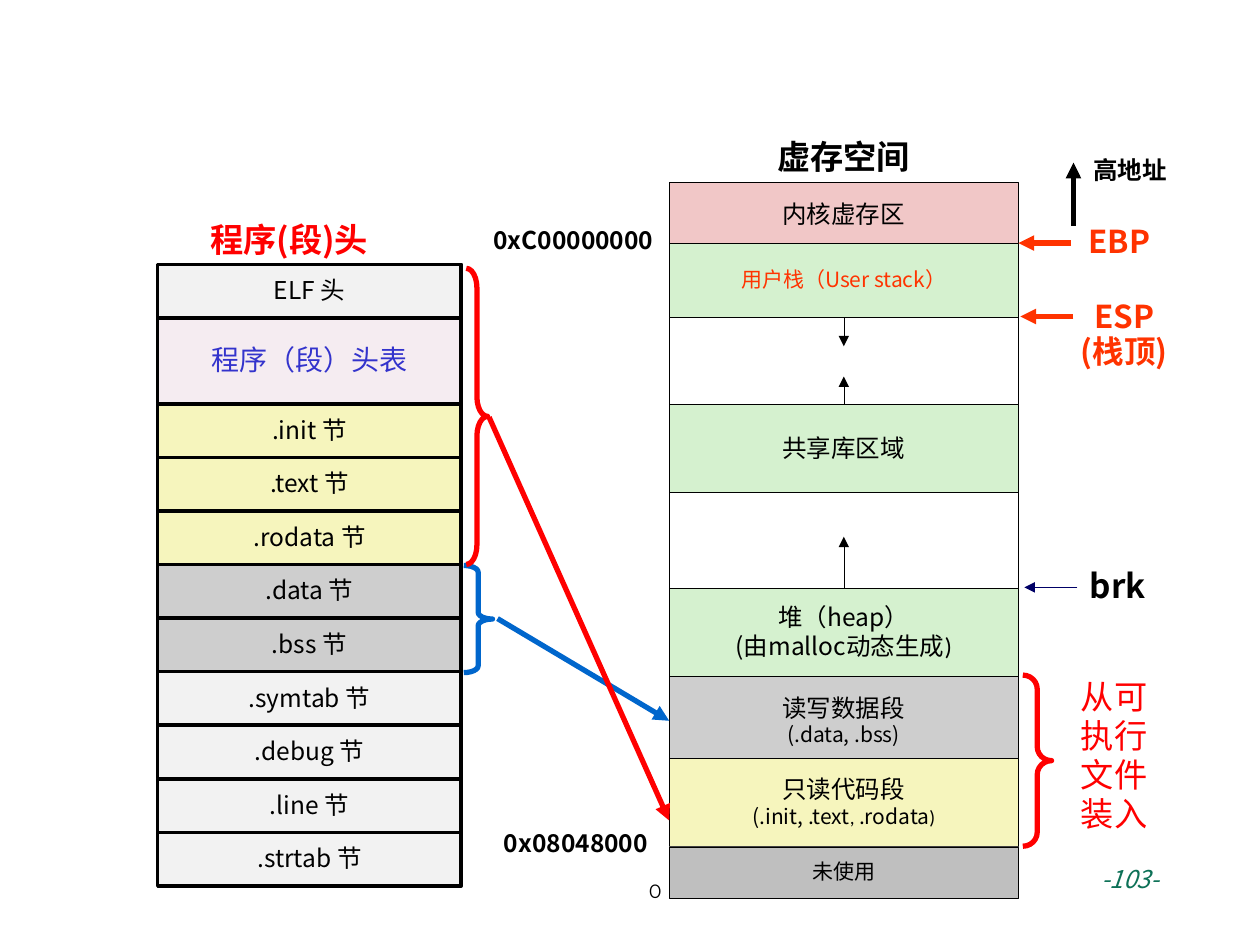
from lxml import etree
from pptx import Presentation
from pptx.dml.color import RGBColor
from pptx.enum.shapes import MSO_CONNECTOR, MSO_SHAPE
from pptx.enum.text import MSO_ANCHOR, MSO_AUTO_SIZE, PP_ALIGN
from pptx.oxml.ns import qn
from pptx.util import Cm, Pt

STRAIGHT = MSO_CONNECTOR.STRAIGHT
RECTANGLE, BRACE = MSO_SHAPE.RECTANGLE, MSO_SHAPE.RIGHT_BRACE
LEFT, CENTER = PP_ALIGN.LEFT, PP_ALIGN.CENTER
MIDDLE, GROW = MSO_ANCHOR.MIDDLE, MSO_AUTO_SIZE.SHAPE_TO_FIT_TEXT
TOP_SIDE, LEFT_SIDE, BOTTOM_SIDE = 0, 1, 2

FONT = "Noto Sans CJK SC"
COLORS = {
    "black": "000000", "white": "FFFFFF", "red": "FF0000", "orange": "FF3300",
    "blue": "0066CC", "navy": "000066", "violet": "3333CC", "green": "0D7157",
    "plum": "993366", "pink": "F1C7C7", "mint": "D5F1CF", "cream": "F6F5BD",
    "light": "F2F2F2", "gray": "CECECE", "dark": "BFBFBF",
}


def color(name):
    return RGBColor.from_string(COLORS[name])


def write(frame, paragraphs, tint="black", align=LEFT, spacing=0.98, bold=False, italic=False):
    """Each paragraph is (size, text), where text may be a list of (text, font, size) runs."""
    for index, (size, text) in enumerate(paragraphs):
        paragraph = frame.paragraphs[0] if index == 0 else frame.add_paragraph()
        paragraph.alignment = align
        paragraph.line_spacing = spacing
        runs = [(text, FONT, size)] if isinstance(text, str) else text
        for run_text, name, run_size in runs:
            run = paragraph.add_run()
            run.text = run_text
            if len(runs) > 1:
                run.font.name, run.font.size = name, Pt(run_size)
        font = paragraph.font
        font.name, font.size, font.bold, font.italic = runs[0][1], Pt(size), bold, italic
        font.color.rgb = color(tint)
        properties = paragraph._p.pPr.find(qn("a:defRPr"))
        etree.SubElement(properties, qn("a:ea")).set("typeface", FONT)


def add_label(slide, left, top, width, height, paragraphs, wrap=True, inset=0.25, **style):
    shape = slide.shapes.add_textbox(Cm(left), Cm(top), Cm(width), Cm(height))
    frame = shape.text_frame
    frame.word_wrap, frame.auto_size = wrap, GROW
    frame.margin_left = frame.margin_right = Cm(inset)
    write(frame, paragraphs, **style)


def add_cell(slide, left, top, width, height, fill, line_width, paragraphs, tint="black"):
    shape = slide.shapes.add_shape(RECTANGLE, Cm(left), Cm(top), Cm(width), Cm(height))
    shape.shadow.inherit = False
    shape.fill.solid()
    shape.fill.fore_color.rgb = color(fill)
    shape.line.color.rgb = color("black")
    shape.line.width = Pt(line_width)
    if paragraphs:
        shape.text_frame.word_wrap = False
        shape.text_frame.vertical_anchor = MIDDLE
        write(shape.text_frame, paragraphs, tint, CENTER)
    return shape


def add_brace(slide, left, top, width, height, tint, curve):
    shape = slide.shapes.add_shape(BRACE, Cm(left), Cm(top), Cm(width), Cm(height))
    shape.shadow.inherit = False
    shape.fill.background()
    shape.line.color.rgb = color(tint)
    shape.line.width = Pt(3)
    shape.adjustments[0] = curve


def add_arrow(slide, start, end, tint="black", width=3):
    points = [Cm(value) for value in (*start, *end)]
    arrow = slide.shapes.add_connector(STRAIGHT, *points)
    arrow.line.color.rgb = color(tint)
    arrow.line.width = Pt(width)
    etree.SubElement(arrow.line._get_or_add_ln(), qn("a:tailEnd")).set("type", "triangle")
    etree.SubElement(arrow._element.spPr, qn("a:effectLst"))
    return arrow


def draw_program_file(slide, left, top, width):
    """Sections of the executable file, with braces for the loaded parts."""
    add_label(slide, left + 0.81, top - 1.04, 4.5, 1.07, [(19, "程序(段)头")],
              tint="red", bold=True, spacing=1)
    rows = [("ELF 头", "light"), ("程序（段）头表", "plum"),
            (".init 节", "cream"), (".text 节", "cream"), (".rodata 节", "cream"),
            (".data 节", "gray"), (".bss 节", "gray"),
            (".symtab 节", "light"), (".debug 节", "light"),
            (".line 节", "light"), (".strtab 节", "light")]
    row_top = top
    for text, fill in rows:
        is_table = fill == "plum"
        height = 1.73 if is_table else 1.08
        cell = add_cell(slide, left, row_top, width, height, fill, 2,
                        [(16 if is_table else 14, text)], "violet" if is_table else "black")
        if is_table:
            tone = cell.fill._xPr.find(".//" + qn("a:srgbClr"))
            etree.SubElement(tone, qn("a:alpha")).set("val", "9000")
        row_top += height
    add_brace(slide, left + 6.17, top + 6.07, 0.58, 2.16, "blue", 0.234)
    add_brace(slide, left + 6.22, top + 0.08, 0.43, 5.97, "red", 0.915)


def draw_memory(slide, left, top, width):
    """Virtual address space; returns its areas by name."""
    add_label(slide, left + 1.93, top - 1.06, 4.5, 1.07, [(19, "虚存空间")],
              bold=True, spacing=1)
    code_names = [("(.init, .text", FONT, 12), (", ", "Calibri", 11),
                  (".rodata", FONT, 12), (")", "Calibri", 11)]
    heap_note = [("(由malloc动态生成", FONT, 14), (")", "Calibri", 14)]
    # name, offset from the top, height, fill, text
    areas = [
        ("gap", 2.7, 1.8, "white", []),
        ("kernel", 0, 1.3, "pink", [(14, "内核虚存区")]),
        ("stack", 1.22, 1.5, "mint", [(12, "用户栈（User stack）")]),
        ("shared", 4.47, 1.78, "mint", [(14, "共享库区域")]),
        ("free", 6.25, 1.92, "white", []),
        ("heap", 8.18, 1.78, "mint", [(14, "堆（heap）"), (14, heap_note)]),
        ("data", 9.96, 1.78, "gray", [(14, "读写数据段"), (12, "(.data, .bss)")]),
        ("code", 11.61, 1.78, "cream", [(14, "只读代码段"), (12, code_names)]),
        ("unused", 13.39, 1.04, "dark", [(12, "未使用")]),
    ]
    shapes = {}
    for name, offset, height, fill, text in areas:
        shapes[name] = add_cell(slide, left, top + offset, width, height, fill,
                                0.25, text,
                                "orange" if name == "stack" else "black")
    # Directions of growth
    middle = left + width / 2
    for name, side, start, end in [("stack", BOTTOM_SIDE, 2.72, 3.3),
                                   ("shared", TOP_SIDE, 4.47, 3.91),
                                   ("heap", TOP_SIDE, 8.18, 7.14)]:
        arrow = add_arrow(slide, (middle, top + start), (middle, top + end), width=0.25)
        arrow.begin_connect(shapes[name], side)
    # Addresses
    for text, x, y, label_width in [("0xC00000000", -3.79, 0.77, 3.89),
                                    ("0x08048000", -3.58, 12.93, 3.56)]:
        add_label(slide, left + x, top + y, label_width, 0.81, [(14, text)],
                  wrap=False, bold=True, spacing=0.94)
    add_label(slide, left - 0.66, top + 13.95, 0.76, 0.71,
              [(11, [("0", "Montserrat", 11)])], wrap=False)
    return shapes


def draw_pointers(slide, left, top):
    """Registers and notes to the right of the address space."""
    add_arrow(slide, (left + 1.11, top + 0.87), (left + 1.11, top - 0.4))
    add_label(slide, left + 1.26, top - 0.68, 2.34, 0.86, [(14, "高地址")],
              bold=True, spacing=1)
    registers = [(1.02, 0.74, 0.99, [(18, "EBP")], 1.06, 0, 1.22),
                 (1.12, 2.24, 1.73, [(18, "ESP"), (18, "(栈顶)")], 1.11, 0.04, 2.7)]
    for x, y, height, text, start, end, arrow_y in registers:
        add_label(slide, left + x, top + y, 2.03, height, text, inset=0,
                  tint="orange", align=CENTER, spacing=0.94, bold=True)
        add_arrow(slide, (left + start, top + arrow_y), (left + end, top + arrow_y), "orange")
    add_label(slide, left + 1.19, top + 7.65, 1.63, 1.02, [(19, "brk")],
              wrap=False, bold=True, spacing=0.94)
    add_arrow(slide, (left + 1.19, top + 8.16), (left + 0.12, top + 8.16), "navy", 0.25)
    add_brace(slide, left + 0.09, top + 9.93, 0.58, 3.45, "red", 0.486)
    add_label(slide, left + 1.01, top + 9.86, 2.08, 3.45,
              [(19, [("从可执行文件装入", "Calibri", 19)])], tint="red")


def draw_loading(slide, left, top, memory_left, memory_top, data_area):
    """Arrows from the file's braces to the memory they are loaded into."""
    arrow = add_arrow(slide, (left + 6.85, top + 7.14),
                      (memory_left, memory_top + 10.85), "blue")
    arrow.end_connect(data_area, LEFT_SIDE)
    add_arrow(slide, (left + 6.68, top + 3.08), (memory_left, memory_top + 12.86), "red")


def main():
    presentation = Presentation()
    presentation.slide_width, presentation.slide_height = Cm(25.4), Cm(19.05)
    slide = presentation.slides.add_slide(presentation.slide_layouts[6])
    file_left, file_top, file_width = 3.18, 5.33, 6.12
    memory_left, memory_top, memory_width = 13.49, 3.68, 7.04
    areas = draw_memory(slide, memory_left, memory_top, memory_width)
    draw_pointers(slide, memory_left + memory_width, memory_top)
    draw_program_file(slide, file_left, file_top, file_width)
    draw_loading(slide, file_left, file_top, memory_left, memory_top, areas["data"])
    # Page number
    add_label(slide, 21.95, 17.3, 2.82, 1.32, [(14, "-103-")], tint="green",
              italic=True, spacing=1)
    presentation.save("out.pptx")


if __name__ == "__main__":
    main()
